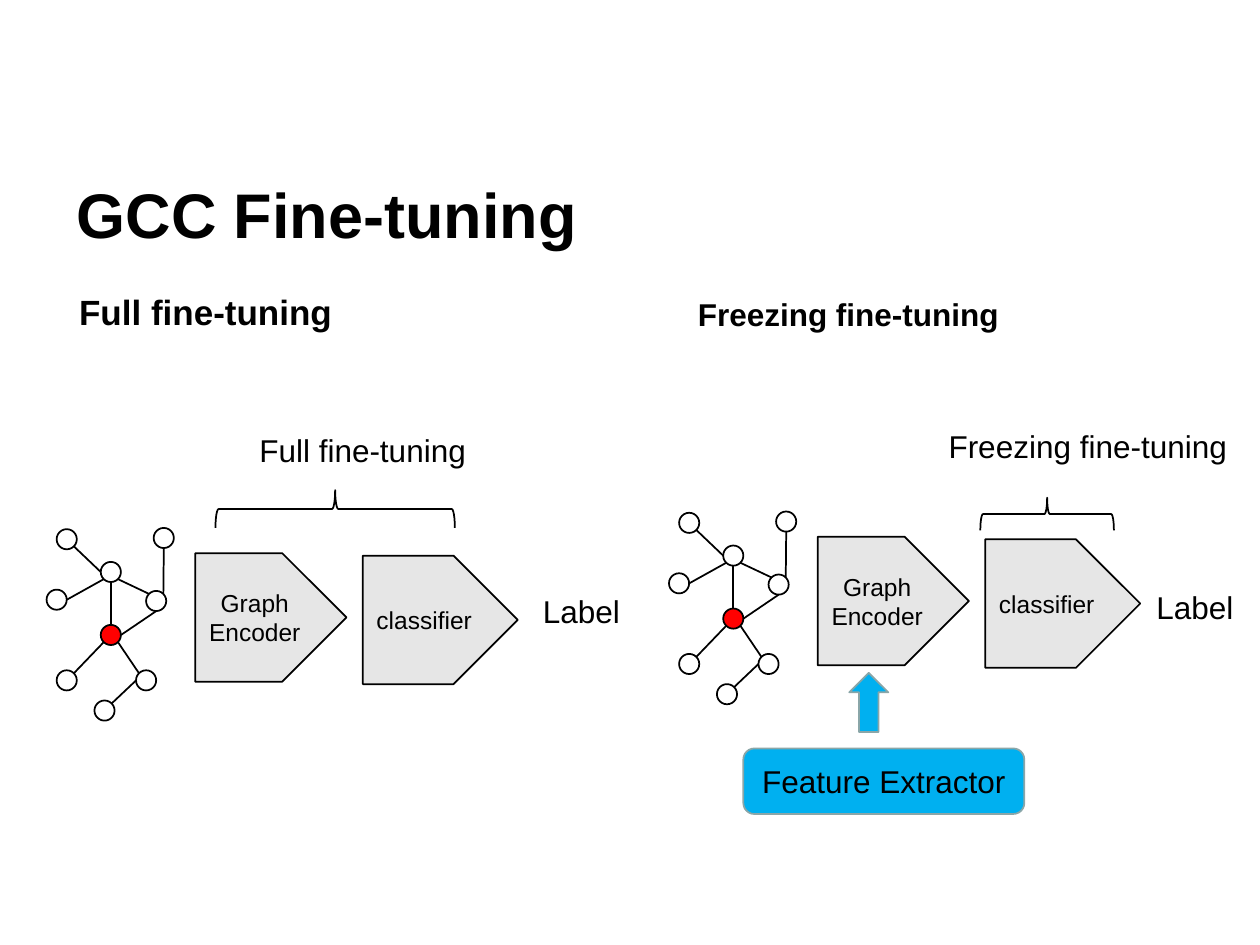
from math import sqrt
from pptx import Presentation
from pptx.dml.color import RGBColor
from pptx.enum.shapes import MSO_CONNECTOR, MSO_SHAPE
from pptx.enum.text import MSO_ANCHOR, PP_ALIGN
from pptx.oxml.ns import qn
from pptx.util import Inches, Pt

NODE, PLATE = MSO_SHAPE.FLOWCHART_CONNECTOR, MSO_SHAPE.PENTAGON
BRACE, ARROW = MSO_SHAPE.LEFT_BRACE, MSO_SHAPE.UP_ARROW
ROUND, LINE = MSO_SHAPE.ROUNDED_RECTANGLE, MSO_CONNECTOR.STRAIGHT
MIDDLE, TOP = MSO_ANCHOR.MIDDLE, MSO_ANCHOR.TOP
CENTER, LEFT = PP_ALIGN.CENTER, PP_ALIGN.LEFT

COLORS = {"ink": "000000", "plate": "E6E6E6", "root": "FF0000",
          "blue": "00B0F0", "edge": "8AA6A8"}
FONT = "Arial"

# text, box, format
LABELS = [
    ("GCC Fine-tuning", (0.51, 1.07, 9, 1.25),
     {"size": 36, "bold": True, "anchor": MIDDLE}),
    ("Full fine-tuning", (0.53, 2.26, 3.17, 0.44), {"size": 20, "bold": True}),
    ("Freezing fine-tuning", (5.44, 2.29, 2.61, 0.4),
     {"bold": True, "wrap": False}),
    ("Full fine-tuning", (1.96, 3.37, 1.99, 0.71), {}),
    ("Freezing fine-tuning", (7.43, 3.34, 2.52, 0.4), {}),
    ("Label", (4.21, 4.65, 0.84, 0.4), {}),
    ("Label", (9.08, 4.62, 0.84, 0.4), {}),
]

# the pipeline that both halves share, placed for the left half
SIZE = 0.16
NODES = {"hub": (0.8, 4.46), "root": (0.8, 4.96), "east": (1.16, 4.69),
         "sw": (0.45, 5.32), "se": (1.08, 5.32), "south": (0.75, 5.56),
         "nw": (0.45, 4.2), "west": (0.37, 4.68), "ne": (1.22, 4.19)}
# node, side, node, side
EDGES = [("nw", "br", "hub", "l"), ("west", "r", "hub", "bl"),
         ("hub", "b", "root", "t"), ("root", "br", "se", "tl"),
         ("east", "b", "root", "r"), ("se", "l", "south", "tr"),
         ("root", "bl", "sw", "tr"), ("hub", "br", "east", "tl"),
         ("ne", "b", "east", "tr")]
PLATES = [("Graph Encoder", (1.55, 4.39, 1.2, 1.02)),
          ("classifier", (2.88, 4.41, 1.23, 1.02))]
SHIFTS = [(0, 0), (4.94, -0.13)]
BRACES = [(2.51, 3.09, 0.3, 1.9), (8.18, 3.55, 0.26, 1.06)]

prs = Presentation()
prs.slide_width, prs.slide_height = Inches(10), Inches(7.5)
slide = prs.slides.add_slide(prs.slide_layouts[6])
shapes = slide.shapes


def color(name):
    """Return a named colour."""
    return RGBColor.from_string(COLORS[name])


def write(shape, text, size=18, bold=False, wrap=True, anchor=TOP, align=LEFT):
    """Set the text of a shape and its format."""
    frame = shape.text_frame
    frame.text = text
    frame.word_wrap, frame.vertical_anchor = wrap, anchor
    para = frame.paragraphs[0]
    para.alignment = align
    font = para.runs[0].font
    for key, value in {"name": FONT, "size": Pt(size), "bold": bold}.items():
        setattr(font, key, value)
    font.color.rgb = color("ink")


def draw(kind, box, fill=None, line="ink", text="", size=14):
    """Add an outlined shape, with fill and text if given."""
    shape = shapes.add_shape(kind, *map(Inches, box))
    shape.shadow.inherit = False
    if fill:
        shape.fill.solid()
        shape.fill.fore_color.rgb = color(fill)
    else:
        shape.fill.background()
    shape.line.color.rgb, shape.line.width = color(line), Pt(1)
    if text:
        write(shape, text, size, anchor=MIDDLE, align=CENTER)
    return shape


def site(node, side):
    """Find the point on the rim of a node at a side or diagonal."""
    reach = SIZE / 2 / sqrt(len(side))
    dx = ("r" in side) - ("l" in side)
    dy = ("b" in side) - ("t" in side)
    x, y = NODES[node]
    return x + SIZE / 2 + dx * reach, y + SIZE / 2 + dy * reach


def link(start, end):
    """Add a plain line between two points."""
    line = shapes.add_connector(LINE, *map(Inches, (*start, *end)))
    line.line.color.rgb, line.line.width = color("ink"), Pt(1)
    props = line._element.spPr
    props.append(props.makeelement(qn("a:effectLst"), {}))


def flow(dx, dy):
    """Draw the graph and its two plates, moved by a shift."""
    for name, (x, y) in NODES.items():
        draw(NODE, (x + dx, y + dy, SIZE, SIZE),
             "root" if name == "root" else None)
    for a, from_side, b, to_side in EDGES:
        link(*((x + dx, y + dy)
               for x, y in (site(a, from_side), site(b, to_side))))
    for text, (x, y, w, h) in PLATES:
        draw(PLATE, (x + dx, y + dy, w, h), "plate", text=text)


for shift, brace in zip(SHIFTS, BRACES):
    flow(*shift)
    draw(BRACE, brace).rotation = 90

for text, box, style in LABELS:
    write(shapes.add_textbox(*map(Inches, box)), text, **style)

draw(ARROW, (6.74, 5.34, 0.31, 0.47), "blue", "edge")
draw(ROUND, (5.9, 5.94, 2.23, 0.52), "blue", "edge", "Feature Extractor", 18)

prs.save("out.pptx")
